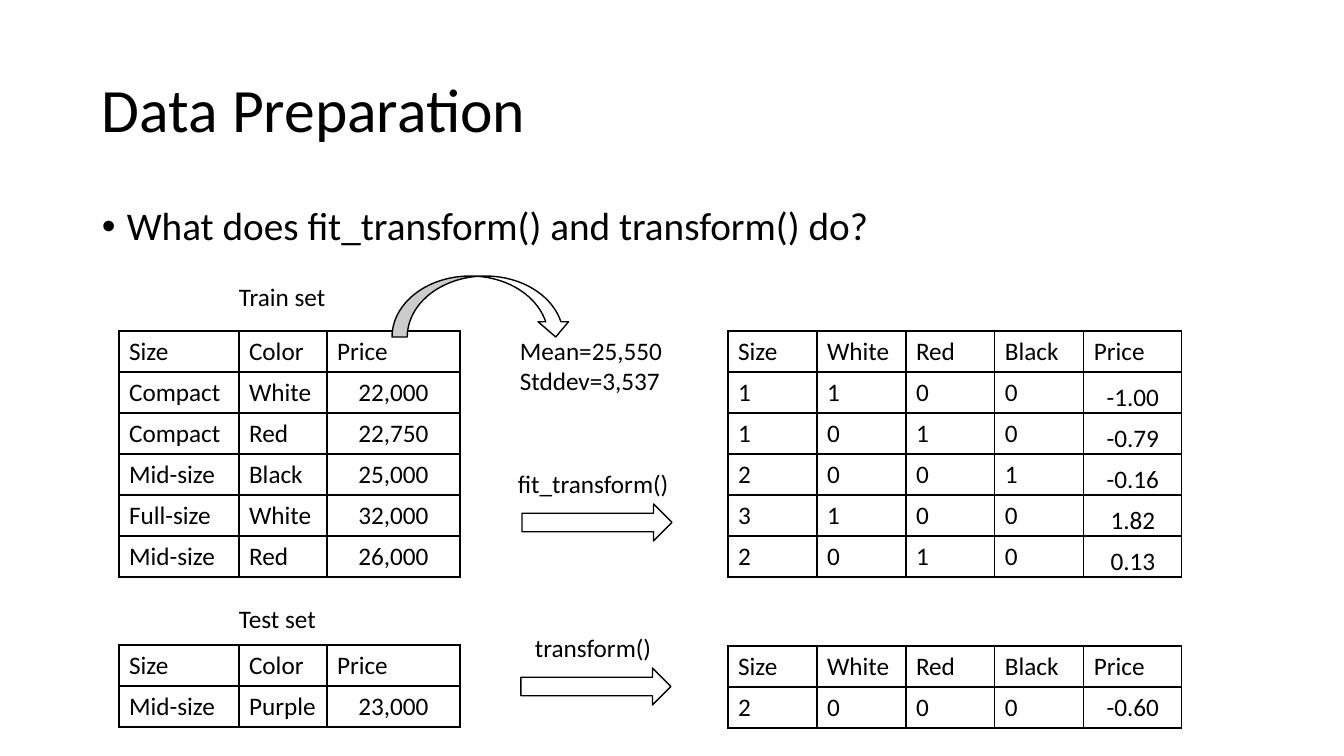
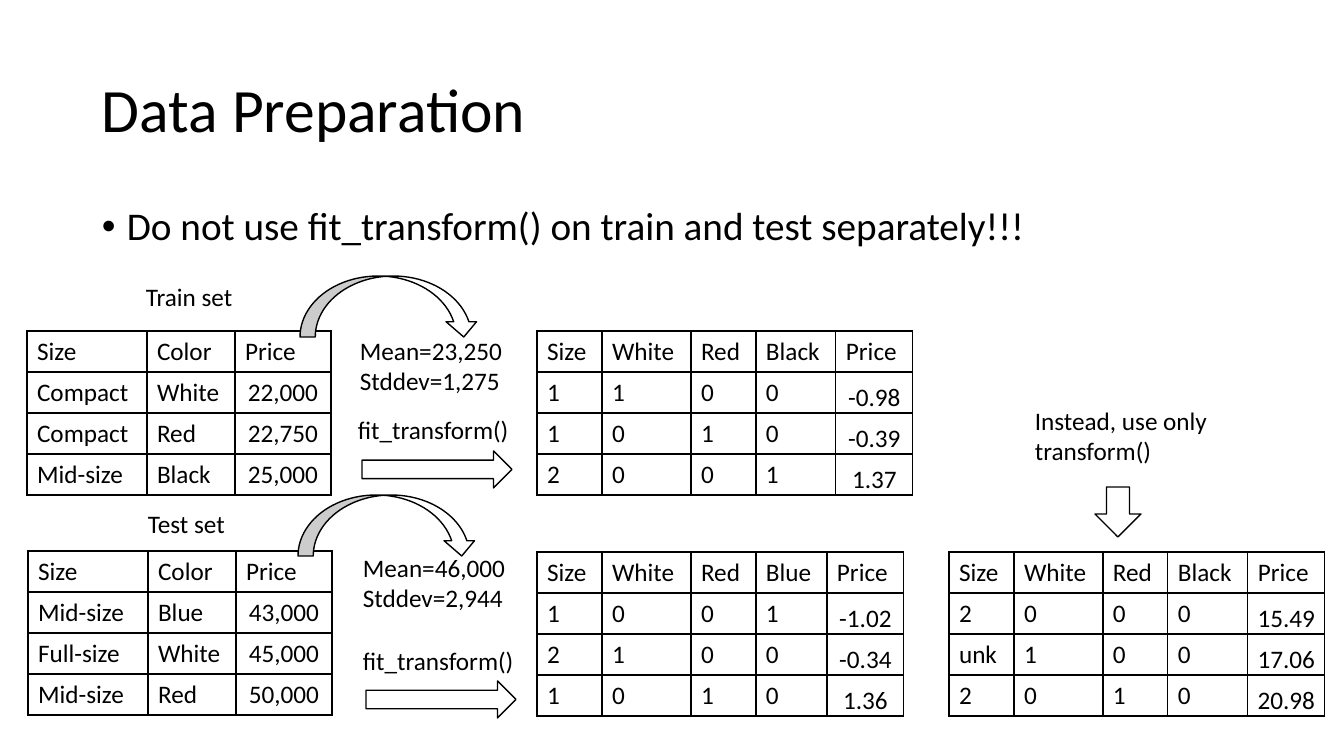
from dataclasses import dataclass

from lxml import etree
from pptx import Presentation
from pptx.dml.color import RGBColor
from pptx.enum.shapes import MSO_SHAPE
from pptx.enum.text import MSO_ANCHOR, PP_ALIGN
from pptx.oxml.ns import qn
from pptx.util import Pt

RIGHT = MSO_SHAPE.RIGHT_ARROW
DOWN = MSO_SHAPE.DOWN_ARROW
CURVE = MSO_SHAPE.CURVED_DOWN_ARROW
MIDDLE = MSO_ANCHOR.MIDDLE
BOTTOM = MSO_ANCHOR.BOTTOM
CENTER = PP_ALIGN.CENTER

SCALE = 914400 / 100.8
WIDE, HIGH = 1344, 756
ROW = 41
RAW = (120, 88, 133)
SLIM = (120, 88, 96)
EVEN = (89, 89, 89, 89, 98)
BLACK = (65, 89, 65, 80, 77)
BLUE = (65, 89, 65, 71, 77)
FIT = "fit_transform()"


@dataclass(frozen=True)
class Theme:
    font: str = "Calibri"
    ink: str = "000000"
    paper: str = "FFFFFF"
    title: int = 44
    body: int = 28
    note: int = 18
    line: int = 1


THEME = Theme()


def px(n):
    return round(n * SCALE)


def color(code):
    return RGBColor.from_string(code)


def style(frame, size):
    for para in frame.paragraphs:
        for run in para.runs:
            font = run.font
            font.name = THEME.font
            font.size = Pt(size)
            font.bold = False
            font.color.rgb = color(THEME.ink)


def text(slide, words, x, y, w, h, size=THEME.note):
    box = slide.shapes.add_textbox(px(x), px(y), px(w), px(h))
    frame = box.text_frame
    frame.word_wrap = True
    frame.text = words
    style(frame, size)
    return frame


def heading(slide, words):
    frame = text(slide, words, 92, 40, 1159, 146, THEME.title)
    frame.vertical_anchor = MIDDLE
    frame.paragraphs[0].line_spacing = 0.9


def bullet(slide, words):
    frame = text(slide, words, 92, 202, 1159, 480, THEME.body)
    para = frame.paragraphs[0]
    para.line_spacing = 0.9
    para.space_before = Pt(10)
    props = para._p.get_or_add_pPr()
    props.set("marL", str(px(25)))
    props.set("indent", str(px(-25)))
    etree.SubElement(props, qn("a:buFont")).set("typeface", "Arial")
    etree.SubElement(props, qn("a:buChar")).set("char", "•")


def label(slide, words, x, y):
    text(slide, words, x, y, 122, 40)


def call(slide, words, x, y, w=172):
    text(slide, words, x, y, w, 40)


def stats(slide, mean, dev, x, y):
    text(slide, f"Mean={mean}\nStddev={dev}", x, y, 164, 72)


def arrow(slide, kind, x, y, w, h):
    shape = slide.shapes.add_shape(kind, px(x), px(y), px(w), px(h))
    shape.shadow.inherit = False
    shape.fill.solid()
    shape.fill.fore_color.rgb = color(THEME.paper)
    shape.line.color.rgb = color(THEME.ink)
    shape.line.width = Pt(THEME.line)


def step(slide, x, y):
    arrow(slide, RIGHT, x, y, 150, 37)


def bend(slide, x, y):
    arrow(slide, CURVE, x, y, 179, 61)


def border(cell):
    props = cell._tc.get_or_add_tcPr()
    for spot, side in enumerate(("lnL", "lnR", "lnT", "lnB")):
        line = etree.Element(qn(f"a:{side}"), w=str(Pt(THEME.line)))
        fill = etree.SubElement(line, qn("a:solidFill"))
        etree.SubElement(fill, qn("a:srgbClr")).set("val", THEME.ink)
        props.insert(spot, line)


def lower(cell):
    cell.vertical_anchor = BOTTOM
    cell.margin_left = cell.margin_right = cell.margin_top = px(1)
    cell.margin_bottom = 0


def table(slide, x, y, cols, rows, sink=False):
    frame = slide.shapes.add_table(
        len(rows), len(cols), px(x), px(y), px(sum(cols)), px(ROW * len(rows)))
    grid = frame.table
    grid.first_row = grid.horz_banding = False
    for col, width in zip(grid.columns, cols):
        col.width = px(width)
    for r, row in enumerate(rows):
        grid.rows[r].height = px(ROW)
        for c, word in enumerate(row.split()):
            cell = grid.cell(r, c)
            cell.text = word
            style(cell.text_frame, THEME.note)
            cell.fill.background()
            border(cell)
            if r and c == len(cols) - 1:
                cell.text_frame.paragraphs[0].alignment = CENTER
                if sink:
                    lower(cell)


def start(deck, words):
    slide = deck.slides.add_slide(deck.slide_layouts[6])
    heading(slide, "Data Preparation")
    bullet(slide, words)
    return slide


def explain(deck):
    slide = start(deck, "What does fit_transform() and transform() do?")
    label(slide, "Train set", 229, 276)
    table(slide, 119, 331, RAW, (
        "Size Color Price",
        "Compact White 22,000",
        "Compact Red 22,750",
        "Mid-size Black 25,000",
        "Full-size White 32,000",
        "Mid-size Red 26,000"))
    stats(slide, "25,550", "3,537", 510, 330)
    bend(slide, 392, 276)
    call(slide, FIT, 508, 463)
    step(slide, 522, 504)
    table(slide, 728, 331, EVEN, (
        "Size White Red Black Price",
        "1 1 0 0 -1.00",
        "1 0 1 0 -0.79",
        "2 0 0 1 -0.16",
        "3 1 0 0 1.82",
        "2 0 1 0 0.13"), sink=True)
    label(slide, "Test set", 229, 598)
    table(slide, 119, 645, RAW, (
        "Size Color Price",
        "Mid-size Purple 23,000"))
    call(slide, "transform()", 525, 627, 138)
    step(slide, 521, 668)
    table(slide, 728, 646, EVEN, (
        "Size White Red Black Price",
        "2 0 0 0 -0.60"))


def warn(deck):
    slide = start(
        deck, "Do not use fit_transform() on train and test separately!!!")
    label(slide, "Train set", 136, 276)
    table(slide, 27, 331, SLIM, (
        "Size Color Price",
        "Compact White 22,000",
        "Compact Red 22,750",
        "Mid-size Black 25,000"))
    stats(slide, "23,250", "1,275", 350, 330)
    bend(slide, 300, 276)
    call(slide, FIT, 348, 409)
    step(slide, 362, 451)
    table(slide, 537, 331, BLACK, (
        "Size White Red Black Price",
        "1 1 0 0 -0.98",
        "1 0 1 0 -0.39",
        "2 0 0 1 1.37"), sink=True)
    label(slide, "Test set", 138, 503)
    table(slide, 28, 551, SLIM, (
        "Size Color Price",
        "Mid-size Blue 43,000",
        "Full-size White 45,000",
        "Mid-size Red 50,000"))
    stats(slide, "46,000", "2,944", 353, 547)
    bend(slide, 298, 495)
    call(slide, FIT, 353, 640)
    step(slide, 366, 681)
    table(slide, 537, 552, BLUE, (
        "Size White Red Blue Price",
        "1 0 0 1 -1.02",
        "2 1 0 0 -0.34",
        "1 0 1 0 1.36"), sink=True)
    text(slide, "Instead, use only\ntransform()", 1025, 400, 195, 72)
    arrow(slide, DOWN, 1095, 487, 46, 50)
    table(slide, 949, 552, BLACK, (
        "Size White Red Black Price",
        "2 0 0 0 15.49",
        "unk 1 0 0 17.06",
        "2 0 1 0 20.98"), sink=True)


def main():
    deck = Presentation()
    deck.slide_width = px(WIDE)
    deck.slide_height = px(HIGH)
    explain(deck)
    warn(deck)
    deck.save("out.pptx")


if __name__ == "__main__":
    main()
